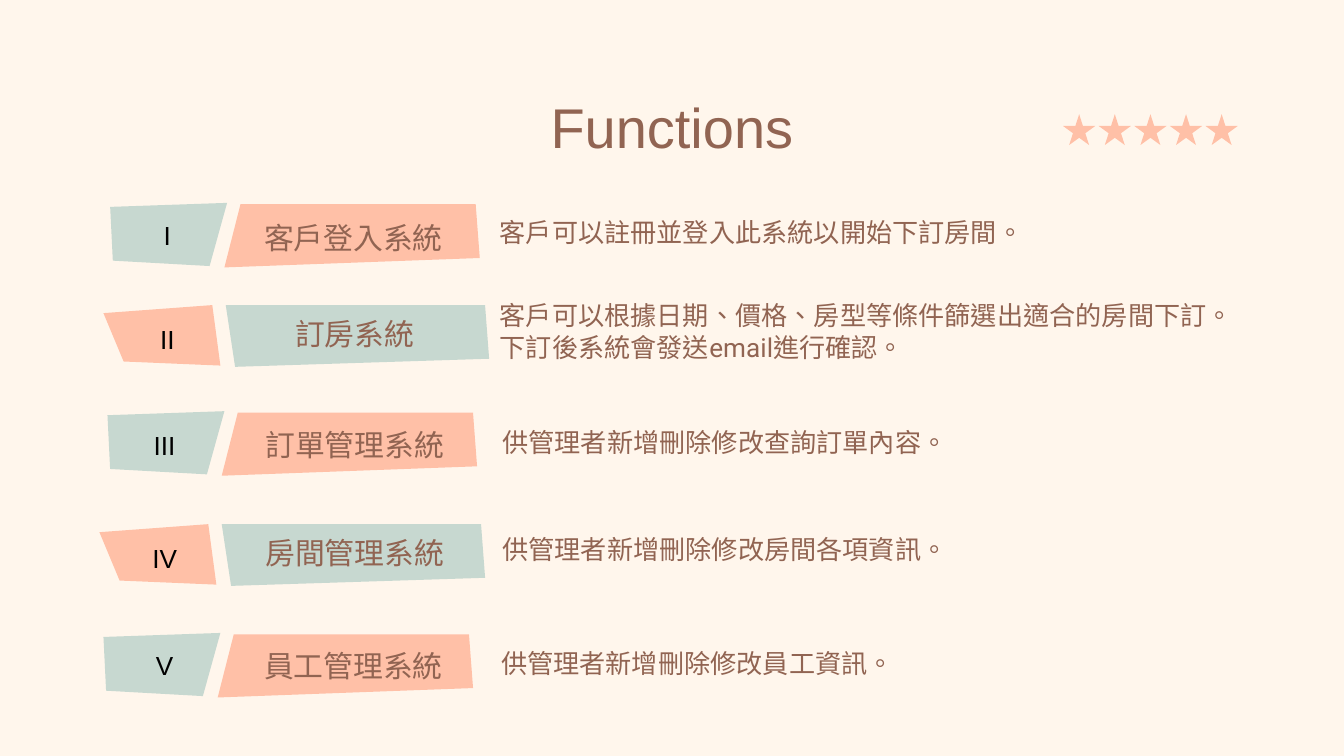
from pptx import Presentation
from pptx.dml.color import RGBColor
from pptx.enum.lang import MSO_LANGUAGE_ID
from pptx.enum.shapes import MSO_SHAPE
from pptx.enum.text import MSO_ANCHOR, PP_ALIGN
from pptx.util import Inches, Pt

CREAM = RGBColor(0xFF, 0xF6, 0xEC)
PEACH = RGBColor(0xFF, 0xC0, 0xA7)
SAGE = RGBColor(0xC7, 0xD8, 0xD0)
BROWN = RGBColor(0x91, 0x64, 0x52)
BLACK = RGBColor(0x00, 0x00, 0x00)

ODD_TAGS = (
    (PEACH, [(0.97, 0.01), (0.85, 0.48), (2.75, 0.41), (2.72, 0.01)]),
    (SAGE, [(0.74, 0.47), (0.87, 0), (0, 0.03), (0.02, 0.43)]),
)
EVEN_TAGS = (
    (PEACH, [(0.87, 0.45), (0.81, 0), (0, 0.06), (0.15, 0.42)]),
    (SAGE, [(0.91, 0), (0.98, 0.46), (2.87, 0.4), (2.84, 0)]),
)

FUNCTIONS = [
    ("I", (0.79, 1.58), "客戶登入系統", (1.63, 1.45), (0.82, 1.51),
     (3.62, 1.51), ["客戶可以註冊並登入此系統以開始下訂房間。"]),
    ("II", (0.79, 2.35), "訂房系統", (1.64, 2.17), (0.77, 2.27),
     (3.62, 2.13), ["客戶可以根據日期、價格、房型等條件篩選出適合的房間下訂。",
                    "下訂後系統會發送email進行確認。"]),
    ("III", (0.77, 3.14), "訂單管理系統", (1.64, 2.99), (0.8, 3.06),
     (3.64, 3.07), ["供管理者新增刪除修改查詢訂單內容。"]),
    ("IV", (0.77, 3.98), "房間管理系統", (1.64, 3.8), (0.74, 3.9),
     (3.64, 3.87), ["供管理者新增刪除修改房間各項資訊。"]),
    ("V", (0.77, 4.78), "員工管理系統", (1.63, 4.64), (0.77, 4.71),
     (3.63, 4.72), ["供管理者新增刪除修改員工資訊。"]),
]


class FunctionsPage:
    """Draws the elements of the functions page in one shared style."""

    def __init__(self, deck):
        self.page = deck.slides.add_slide(deck.slide_layouts[6])
        self.page.background.fill.solid()
        self.page.background.fill.fore_color.rgb = CREAM

    def paint(self, shape, color):
        shape.shadow.inherit = False
        shape.fill.solid()
        shape.fill.fore_color.rgb = color
        shape.line.fill.background()

    def star(self, left, top):
        shape = self.page.shapes.add_shape(
            MSO_SHAPE.STAR_5_POINT, Inches(left), Inches(top), Inches(0.24), Inches(0.23))
        self.paint(shape, PEACH)

    def tag(self, origin, corners, color):
        left, top = origin
        points = [(Inches(left + x), Inches(top + y)) for x, y in corners]
        builder = self.page.shapes.build_freeform(*points[0])
        builder.add_line_segments(points[1:], close=True)
        self.paint(builder.convert_to_shape(), color)

    def text(self, lines, place, extent, size, color=BROWN, font="Arial",
             align=PP_ALIGN.CENTER, anchor=MSO_ANCHOR.MIDDLE):
        box = self.page.shapes.add_textbox(*map(Inches, place + extent))
        frame = box.text_frame
        frame.word_wrap = True
        frame.vertical_anchor = anchor
        frame.margin_left = frame.margin_right = Inches(0.1)
        frame.margin_top = frame.margin_bottom = Inches(0.1)
        for index, line in enumerate(lines):
            para = frame.add_paragraph() if index else frame.paragraphs[0]
            para.alignment = align
            span = para.add_run()
            span.text = line
            span.font.name = font
            span.font.size = Pt(size)
            span.font.color.rgb = color
            span.font.language_id = MSO_LANGUAGE_ID.TRADITIONAL_CHINESE


def main():
    deck = Presentation()
    deck.slide_width, deck.slide_height = Inches(10), Inches(10 * 9 / 16)
    page = FunctionsPage(deck)
    for index in range(5):
        page.star(7.91 + 0.265 * index, 0.85)
    page.text(["Functions"], (0.78, 0.59), (8.44, 0.63), 30, anchor=MSO_ANCHOR.TOP)
    for index, (number, number_at, name, name_at, origin, detail_at, details) in enumerate(FUNCTIONS):
        for color, corners in EVEN_TAGS if index % 2 else ODD_TAGS:
            page.tag(origin, corners, color)
        page.text([number], number_at, (0.91, 0.34), 14, BLACK)
        page.text([name], name_at, (2, 0.63), 16)
        page.text(details, detail_at, (5.6, 0.63), 14, font="Roboto",
                  align=PP_ALIGN.LEFT, anchor=MSO_ANCHOR.TOP)
    deck.save("out.pptx")


if __name__ == "__main__":
    main()
